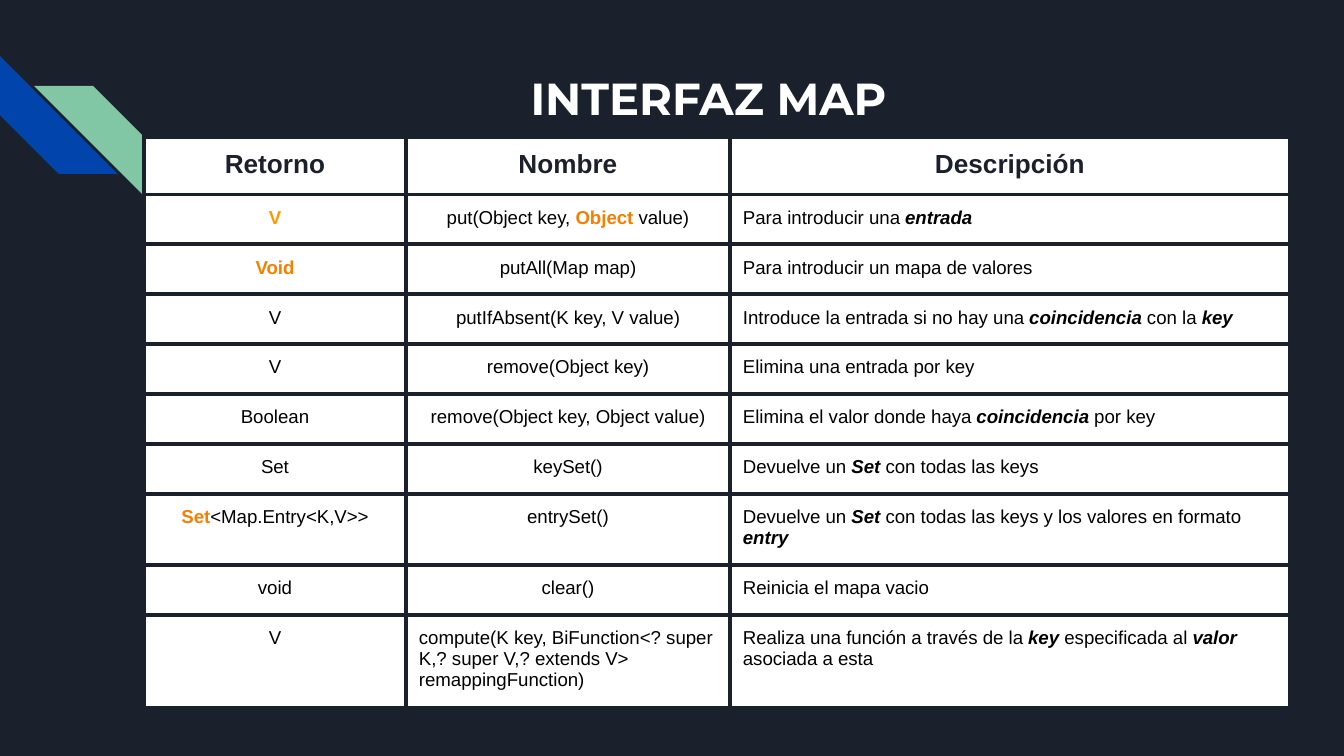
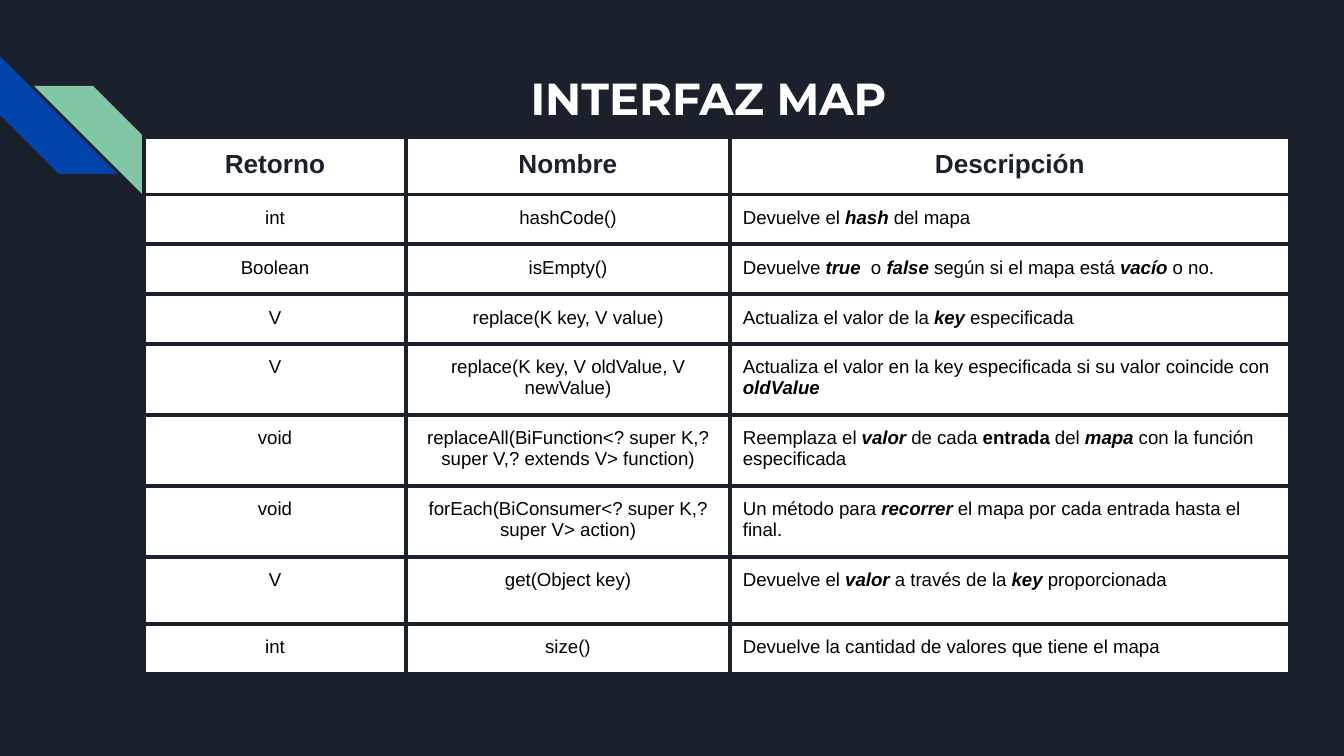
from dataclasses import dataclass
from typing import NamedTuple

from lxml import etree
from pptx import Presentation
from pptx.dml.color import RGBColor
from pptx.enum.shapes import MSO_SHAPE
from pptx.enum.text import MSO_ANCHOR, PP_ALIGN
from pptx.oxml.ns import qn
from pptx.util import Emu, Pt

STRIPE = MSO_SHAPE.DIAGONAL_STRIPE
CENTER, LEFT = PP_ALIGN.CENTER, PP_ALIGN.LEFT
TOP = MSO_ANCHOR.TOP

PAGE_WIDTH, PAGE_HEIGHT = 1344, 756
EMU_PER_PX = 9144000 / PAGE_WIDTH


@dataclass(frozen=True)
class Theme:
    night: str = "1B212C"
    white: str = "FFFFFF"
    black: str = "000000"
    blue: str = "0145AC"
    green: str = "82C7A5"
    orange: str = "F77F00"
    amber: str = "FF9900"
    title_font: str = "Montserrat"
    body_font: str = "Arial"
    title_size: int = 24
    header_size: int = 14
    body_size: int = 10
    border: float = 2.25
    inset: int = 13


THEME = Theme()


class Box(NamedTuple):
    left: int
    top: int
    width: int
    height: int


class Style(NamedTuple):
    color: str = THEME.black
    size: int = THEME.body_size
    font: str = THEME.body_font
    bold: bool = False
    italic: bool = False


TITLE = Style(THEME.white, THEME.title_size, THEME.title_font, bold=True)
HEADER = Style(THEME.night, THEME.header_size, bold=True)
PLAIN = Style()

# In a cell, "|" separates spans and a leading marker picks the span's style
MARKERS = {
    "*": Style(bold=True, italic=True),
    "+": Style(bold=True),
    "^": Style(THEME.orange, bold=True),
    "!": Style(THEME.amber, bold=True),
}

STRIPES_BOX = Box(0, 56, 152, 148)
TITLE_BOX = Box(191, 58, 1035, 134)
TABLE_BOX = Box(144, 137, 1146, 559)
COLUMN_WIDTHS = (262, 324, 560)
HEADER_HEIGHT, ROW_HEIGHT, TALL_HEIGHT, TALLEST_HEIGHT = 55, 50, 67, 89

HEADINGS = ("Retorno", "Nombre", "Descripción")

EDIT_METHODS = [
    ("!V", "put(Object key, |^Object |value)", "Para introducir una |*entrada"),
    ("^Void", "putAll(Map map)", "Para introducir un mapa de valores"),
    ("V", "putIfAbsent(K key, V value)",
     "Introduce la entrada si no hay una |*coincidencia| con la |*key"),
    ("V", "remove(Object key)", "Elimina una entrada por key"),
    ("Boolean", "remove(Object key, Object value)",
     "Elimina el valor donde haya |*coincidencia| por key"),
    ("Set", "keySet()", "Devuelve un |*Set| con todas las keys"),
    ("^Set|<Map.Entry<K,V>>", "entrySet()",
     "Devuelve un |*Set| con todas las keys y los valores en formato |*entry"),
    ("void", "clear()", "Reinicia el mapa vacio"),
    ("V", "compute(K key, BiFunction<? super K,? super V,? extends V> remappingFunction)",
     "Realiza una función a través de la |*key |especificada al |*valor| asociada a esta"),
]

QUERY_METHODS = [
    ("int", "hashCode()", "Devuelve el |*hash| del mapa"),
    ("Boolean", "isEmpty()",
     "Devuelve |*true | o |*false |según si el mapa está |*vacío| o no."),
    ("V", "replace(K key, V value)", "Actualiza el valor de la |*key| especificada"),
    ("V", "replace(K key, V oldValue, V newValue)",
     "Actualiza el valor en la key especificada si su valor coincide con |*oldValue"),
    ("void", "replaceAll(BiFunction<? super K,? super V,? extends V> function)",
     "Reemplaza el |*valor| de cada |+entrada| del |*mapa| con la función especificada"),
    ("void", "forEach(BiConsumer<? super K,? super V> action)",
     "Un método para |*recorrer| el mapa por cada entrada hasta el final."),
    ("V", "get(Object key)",
     "Devuelve el |*valor| a través de la |*key| proporcionada"),
    ("int", "size()", "Devuelve la cantidad de valores que tiene el mapa"),
]


def px(length):
    return Emu(round(length * EMU_PER_PX))


def place(box):
    return [px(length) for length in box]


def paint(fill, color):
    fill.solid()
    fill.fore_color.rgb = RGBColor.from_string(color)


def add_span(para, text, style):
    span = para.add_run()
    span.text = text
    font = span.font
    font.name, font.size = style.font, Pt(style.size)
    font.bold, font.italic = style.bold, style.italic
    font.color.rgb = RGBColor.from_string(style.color)


def set_insets(target):
    target.margin_left = target.margin_right = px(THEME.inset)
    target.margin_top = target.margin_bottom = px(THEME.inset)
    target.vertical_anchor = TOP


def add_stripes(page, box):
    """Two interlocking diagonal stripes in opposite corners of the box."""
    side = 118
    corner_left = box.left + box.width - side
    corner_top = box.top + box.height - side
    for left, top, rotation, color in (
        (box.left, box.top, 270, THEME.blue),
        (corner_left, corner_top, 90, THEME.green),
    ):
        stripe = page.shapes.add_shape(STRIPE, *place(Box(left, top, side, side)))
        stripe.rotation = rotation
        stripe.shadow.inherit = False
        stripe.line.fill.background()
        paint(stripe.fill, color)


def add_title(page, box, text):
    frame = page.shapes.add_textbox(*place(box)).text_frame
    frame.word_wrap = True
    set_insets(frame)
    para = frame.paragraphs[0]
    para.alignment = CENTER
    add_span(para, text, TITLE)


def add_borders(cell):
    properties = cell._tc.get_or_add_tcPr()
    for side in ("a:lnL", "a:lnR", "a:lnT", "a:lnB"):
        line = etree.SubElement(properties, qn(side), w=str(Pt(THEME.border)))
        fill = etree.SubElement(line, qn("a:solidFill"))
        etree.SubElement(fill, qn("a:srgbClr"), val=THEME.night)


def fill_cell(cell, text, base, alignment):
    set_insets(cell)
    add_borders(cell)
    paint(cell.fill, THEME.white)
    para = cell.text_frame.paragraphs[0]
    para.alignment = alignment
    for part in text.split("|"):
        style = MARKERS.get(part[0])
        add_span(para, part[1:] if style else part, style or base)


def add_method_table(page, box, methods, heights, left_cells):
    rows = [HEADINGS, *methods]
    table = page.shapes.add_table(len(rows), len(HEADINGS), *place(box)).table
    table.first_row = table.horz_banding = False
    for column, width in zip(table.columns, COLUMN_WIDTHS):
        column.width = px(width)
    for row_index, texts in enumerate(rows):
        table.rows[row_index].height = px(heights.get(row_index, ROW_HEIGHT))
        for column_index, text in enumerate(texts):
            is_header = row_index == 0
            is_description = column_index == 2 and not is_header
            to_left = is_description or (row_index, column_index) in left_cells
            fill_cell(table.cell(row_index, column_index), text,
                      HEADER if is_header else PLAIN, LEFT if to_left else CENTER)


def add_method_page(deck, methods, heights, left_cells=()):
    page = deck.slides.add_slide(deck.slide_layouts[6])
    paint(page.background.fill, THEME.night)
    add_stripes(page, STRIPES_BOX)
    add_title(page, TITLE_BOX, "INTERFAZ MAP")
    add_method_table(page, TABLE_BOX, methods, heights, left_cells)


def main():
    deck = Presentation()
    deck.slide_width, deck.slide_height = px(PAGE_WIDTH), px(PAGE_HEIGHT)
    heights = {0: HEADER_HEIGHT, 7: TALL_HEIGHT}
    # Methods that change the map
    add_method_page(deck, EDIT_METHODS, {**heights, 9: TALLEST_HEIGHT}, {(9, 1)})
    # Methods that query, replace and traverse
    add_method_page(deck, QUERY_METHODS, heights)
    deck.save("out.pptx")


if __name__ == "__main__":
    main()
